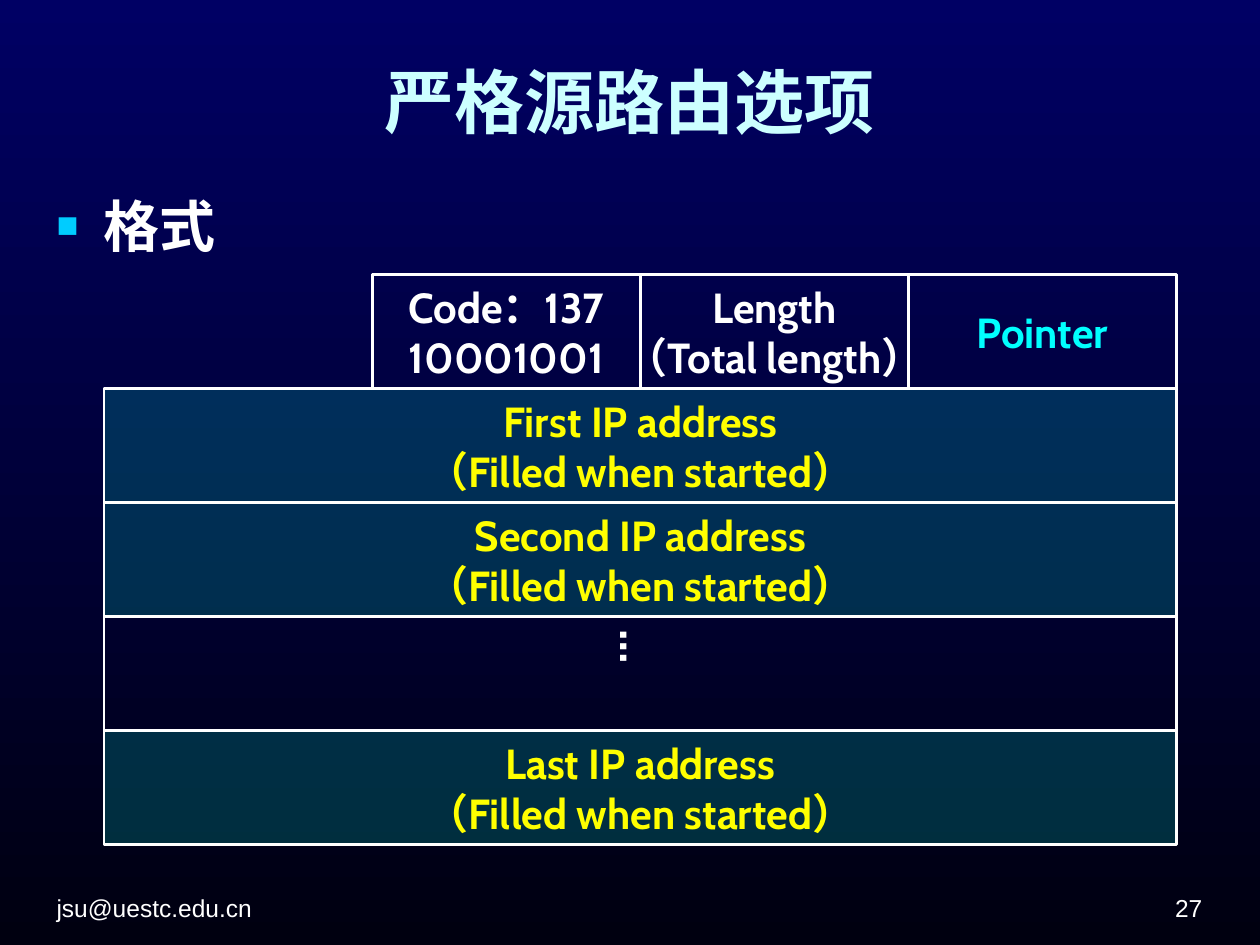
from lxml import etree
from pptx import Presentation
from pptx.dml.color import RGBColor
from pptx.enum.shapes import MSO_SHAPE
from pptx.enum.text import MSO_ANCHOR, MSO_AUTO_SIZE, PP_ALIGN
from pptx.oxml.ns import qn
from pptx.util import Pt

RECT = MSO_SHAPE.RECTANGLE
TOP, MIDDLE, BOTTOM = MSO_ANCHOR.TOP, MSO_ANCHOR.MIDDLE, MSO_ANCHOR.BOTTOM
LEFT, CENTER, RIGHT = PP_ALIGN.LEFT, PP_ALIGN.CENTER, PP_ALIGN.RIGHT
NO_FIT = MSO_AUTO_SIZE.NONE

WHITE, YELLOW, CYAN, TEAL = "FFFFFF", "FFFF00", "00FFFF", "009999"


def color(code):
    return RGBColor.from_string(code)


def add_tag(parent, tag, **attrs):
    node = etree.SubElement(parent, qn(tag))
    for key, value in attrs.items():
        node.set(key, str(value))
    return node


class Deck:
    font = "Cabin"
    plain = "Arial"

    def __init__(self, wide, high):
        self.prs = Presentation()
        self.prs.slide_width, self.prs.slide_height = Pt(wide), Pt(high)
        self.slide = self.prs.slides.add_slide(self.prs.slide_layouts[5])

    def shade(self, first, last):
        """Fill the background from top to bottom."""
        fill = self.slide.background.fill
        fill.gradient()
        fill.gradient_angle = 270
        for stop, code in zip(fill.gradient_stops, (first, last)):
            stop.color.rgb = color(code)

    def put_lines(self, frame, lines, size, code, font, bold=True,
                  align=CENTER, anchor=MIDDLE, wrap=True):
        frame.auto_size = NO_FIT
        frame.word_wrap = wrap
        frame.vertical_anchor = anchor
        for i, line in enumerate(lines):
            para = frame.add_paragraph() if i else frame.paragraphs[0]
            para.alignment = align
            run = para.add_run()
            run.text = line
            run.font.size, run.font.bold = Pt(size), bold
            run.font.name = font
            run.font.color.rgb = color(code)

    def title(self, text, x, y, w, h):
        box = self.slide.shapes.title
        box.left, box.top, box.width, box.height = map(Pt, (x, y, w, h))
        self.put_lines(box.text_frame, [text], 40, "CCFFFF", "Karla")

    def text(self, text, x, y, w, h, **style):
        box = self.slide.shapes.add_textbox(*map(Pt, (x, y, w, h)))
        self.put_lines(box.text_frame, [text], **style)
        return box.text_frame.paragraphs[0]

    def bullet(self, text, x, y, w, h):
        para = self.text(text, x, y, w, h, size=32, code=WHITE,
                         font=self.font, align=LEFT, anchor=TOP)
        props = para._p.get_or_add_pPr()
        props.set("marL", str(Pt(27)))
        props.set("indent", str(Pt(-27)))
        add_tag(add_tag(props, "a:buClr"), "a:srgbClr", val="00CCFF")
        add_tag(props, "a:buSzPct", val=65000)
        add_tag(props, "a:buFont", typeface=self.plain)
        add_tag(props, "a:buChar", char="■")

    def note(self, text, x, align):
        self.text(text, x, 496.8, 168, 33.8, size=14, code=WHITE,
                  font=self.plain, bold=False, align=align, anchor=BOTTOM)

    def field(self, lines, x, y, w, h, code=WHITE, fill=None, size=24):
        box = self.slide.shapes.add_shape(RECT, *map(Pt, (x, y, w, h)))
        box.shadow.inherit = False
        box.line.color.rgb, box.line.width = color(WHITE), Pt(1.5)
        if fill:
            box.fill.solid()
            box.fill.fore_color.rgb = color(fill)
            tint = box._element.spPr.find(qn("a:solidFill"))[0]
            add_tag(tint, "a:alpha", val=30000)
        else:
            box.fill.background()
        self.put_lines(box.text_frame, lines, size, code, self.font,
                       wrap=False)
        return box.text_frame

    def upright(self, text, x, y, w, h):
        """Add a field whose text runs downwards."""
        frame = self.field([text], x, y, w, h, size=28)
        frame.margin_left = frame.margin_right = Pt(3.6)
        frame.margin_top = frame.margin_bottom = Pt(7.2)
        frame._txBody.bodyPr.set("vert", "eaVert")


def main():
    deck = Deck(720, 540)
    deck.shade("000064", "000010")
    deck.note("jsu@uestc.edu.cn", 25.2, LEFT)
    deck.note("27", 526.2, RIGHT)
    deck.title("严格源路由选项", 25.2, 9.4, 669, 96.4)
    deck.bullet("格式", 25.2, 105.8, 669, 391)

    left, top, col, row = 59.5, 156.8, 153.2, 65.2
    heads = [(["Code：137", "10001001"], WHITE),
             (["Length", "（Total length）"], WHITE),
             (["Pointer"], CYAN)]
    for i, (lines, code) in enumerate(heads, 1):
        deck.field(lines, left + i * col, top, col, row, code)

    for i, name in enumerate(["First", "Second", None, "Last"], 1):
        area = left, top + i * row, 4 * col, row
        if name:
            lines = [f"{name} IP address", "（Filled when started）"]
            deck.field(lines, *area, YELLOW, TEAL)
        else:
            deck.upright("…", *area)

    deck.prs.save("out.pptx")


if __name__ == "__main__":
    main()
